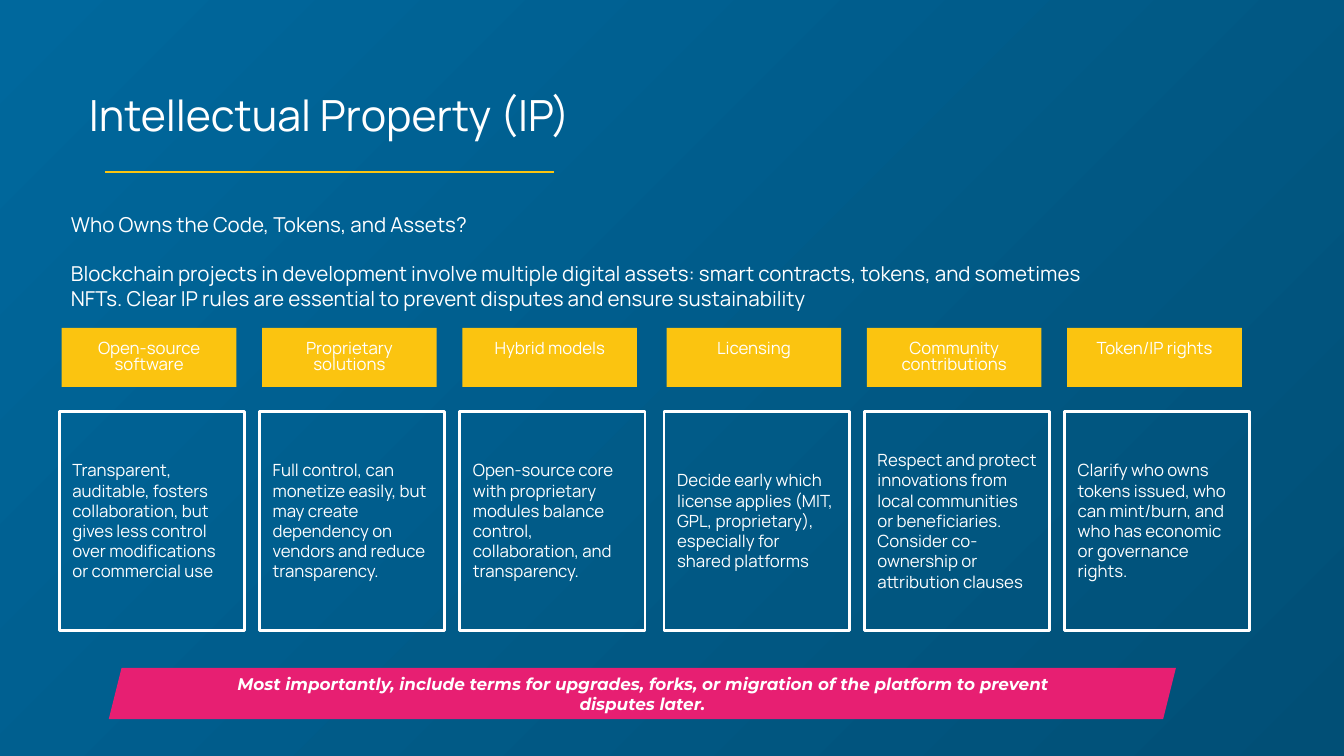
from collections import namedtuple

from lxml.etree import SubElement
from pptx import Presentation
from pptx.dml.color import RGBColor
from pptx.enum.shapes import MSO_CONNECTOR, MSO_SHAPE as Shape
from pptx.enum.text import MSO_ANCHOR as Anchor, MSO_AUTO_SIZE as AutoSize, PP_ALIGN as Align
from pptx.oxml.ns import qn
from pptx.util import Inches, Pt

WHITE, YELLOW, PINK = "FFFFFF", "FBC410", "E71F72"
BLUES = "00689D", "014F76"
GRID = Inches(0.1)  # the slide is 100 columns by 56.25 rows, a 16:9 page
SLIDE_COLS, SLIDE_ROWS = 100, 56.25

Box = namedtuple("Box", "left top width height")

INTRO = [
    "Who Owns the Code, Tokens, and Assets?",
    "Blockchain projects in development involve multiple digital assets: smart contracts, "
    "tokens, and sometimes NFTs. Clear IP rules are essential to prevent disputes and "
    "ensure sustainability",
]
TOPICS = [
    ("Open-source software", "Transparent, auditable, fosters collaboration, but gives less "
     "control over modifications or commercial use"),
    ("Proprietary solutions", "Full control, can monetize easily, but may create dependency on "
     "vendors and reduce transparency."),
    ("Hybrid models", "Open-source core with proprietary modules balance control, "
     "collaboration, and transparency."),
    ("Licensing", "Decide early which license applies (MIT, GPL, proprietary), especially for "
     "shared platforms"),
    ("Community contributions", "Respect and protect innovations from local communities or "
     "beneficiaries. Consider co-ownership or attribution clauses"),
    ("Token/IP rights", "Clarify who owns tokens issued, who can mint/burn, and who has "
     "economic or governance rights."),
]
REMINDER = ("Most importantly, include terms for upgrades, forks, or migration of the platform "
            "to prevent disputes later.")


def colour(hex_code):
    return RGBColor.from_string(hex_code)


def emu(box):
    """Turn a box in grid units into slide lengths."""
    return [round(length * GRID) for length in box]


def write(frame, paragraphs, size, anchor=Anchor.TOP, align=Align.LEFT,
          spacing=None, gap=0, **font):
    inset = GRID
    frame_format = dict(word_wrap=True, auto_size=AutoSize.NONE, vertical_anchor=anchor,
                        margin_left=inset, margin_right=inset,
                        margin_top=inset, margin_bottom=inset)
    for name, value in frame_format.items():
        setattr(frame, name, value)
    font_format = {"name": "Manrope", "size": Pt(size), **font}
    for index, text in enumerate(paragraphs):
        paragraph = frame.paragraphs[0] if index == 0 else frame.add_paragraph()
        paragraph.alignment = align
        if spacing:
            paragraph.line_spacing = spacing
        if index and gap:
            paragraph.space_before = Pt(gap)
        run = paragraph.add_run()
        run.text = text
        for name, value in font_format.items():
            setattr(run.font, name, value)
        run.font.color.rgb = colour(WHITE)


def add_panel(slide, box, kind=Shape.RECTANGLE, fill=None, outline=None):
    panel = slide.shapes.add_shape(kind, *emu(box))
    panel.shadow.inherit = False
    if fill:
        panel.fill.solid()
        panel.fill.fore_color.rgb = colour(fill)
    else:
        panel.fill.background()
    if outline:
        panel.line.color.rgb = colour(outline)
        panel.line.width = Pt(1.5)
    else:
        panel.line.fill.background()
    return panel


def paint_background(slide):
    fill = slide.background.fill
    fill.gradient()
    fill.gradient_angle = 315
    for stop, blue in zip(fill.gradient_stops, BLUES):
        stop.color.rgb = colour(blue)


def add_heading(slide, box):
    """Place the title in the upper part of the box and the rule along its bottom."""
    title = slide.shapes.title
    title.left, title.top, title.width, title.height = emu(box._replace(height=5.9))
    write(title.text_frame, ["Intellectual Property (IP)"], 23, align=Align.CENTER)

    rule_left, rule_width, rule_top = box.left + 8.3, 33.4, box.top + box.height
    rule = slide.shapes.add_connector(
        MSO_CONNECTOR.STRAIGHT,
        *emu((rule_left, rule_top, rule_left + rule_width, rule_top)))
    rule.line.color.rgb = colour(YELLOW)
    rule.line.width = Pt(1.5)
    SubElement(rule._element.spPr, qn("a:effectLst"))


def add_intro(slide, box):
    intro = slide.shapes.add_textbox(*emu(box))
    write(intro.text_frame, INTRO, 11, gap=13)


def add_topic(slide, box, label, detail):
    """Stack a yellow label over an outlined card that fills the rest of the box."""
    card_offset = 6.2
    card = add_panel(slide, Box(box.left, box.top + card_offset, box.width,
                                box.height - card_offset), outline=WHITE)
    write(card.text_frame, [detail], 9, anchor=Anchor.MIDDLE)
    tag = add_panel(slide, Box(box.left + 0.2, box.top, box.width - 0.8, 4.4), fill=YELLOW)
    write(tag.text_frame, [label], 9, align=Align.CENTER, spacing=0.8)


def add_topics(slide, box):
    """Lay the topics out in two groups of three, with a wider gap between the groups."""
    card_width, group_gap = 13.8, 0.3
    pitch = (box.width - card_width - group_gap) / (len(TOPICS) - 1)
    for index, (label, detail) in enumerate(TOPICS):
        left = box.left + index * pitch + index // 3 * group_gap
        add_topic(slide, Box(left, box.top, card_width, box.height), label, detail)


def add_reminder(slide, box):
    banner = add_panel(slide, box, Shape.PARALLELOGRAM, fill=PINK)
    banner.adjustments[0] = 0.25
    write(banner.text_frame, [REMINDER], 9, anchor=Anchor.MIDDLE, align=Align.CENTER,
          name="Montserrat", bold=True, italic=True)


def main():
    deck = Presentation()
    deck.slide_width, deck.slide_height = emu((SLIDE_COLS, SLIDE_ROWS))
    slide = deck.slides.add_slide(deck.slide_layouts[5])
    paint_background(slide)
    add_heading(slide, Box(-0.5, 5.6, 50.1, 7.2))
    add_intro(slide, Box(4.3, 14.8, 79.4, 9.4))
    add_topics(slide, Box(4.4, 24.4, 88.6, 22.5))
    add_reminder(slide, Box(8.1, 49.7, 79.4, 3.8))
    deck.save("out.pptx")


if __name__ == "__main__":
    main()
